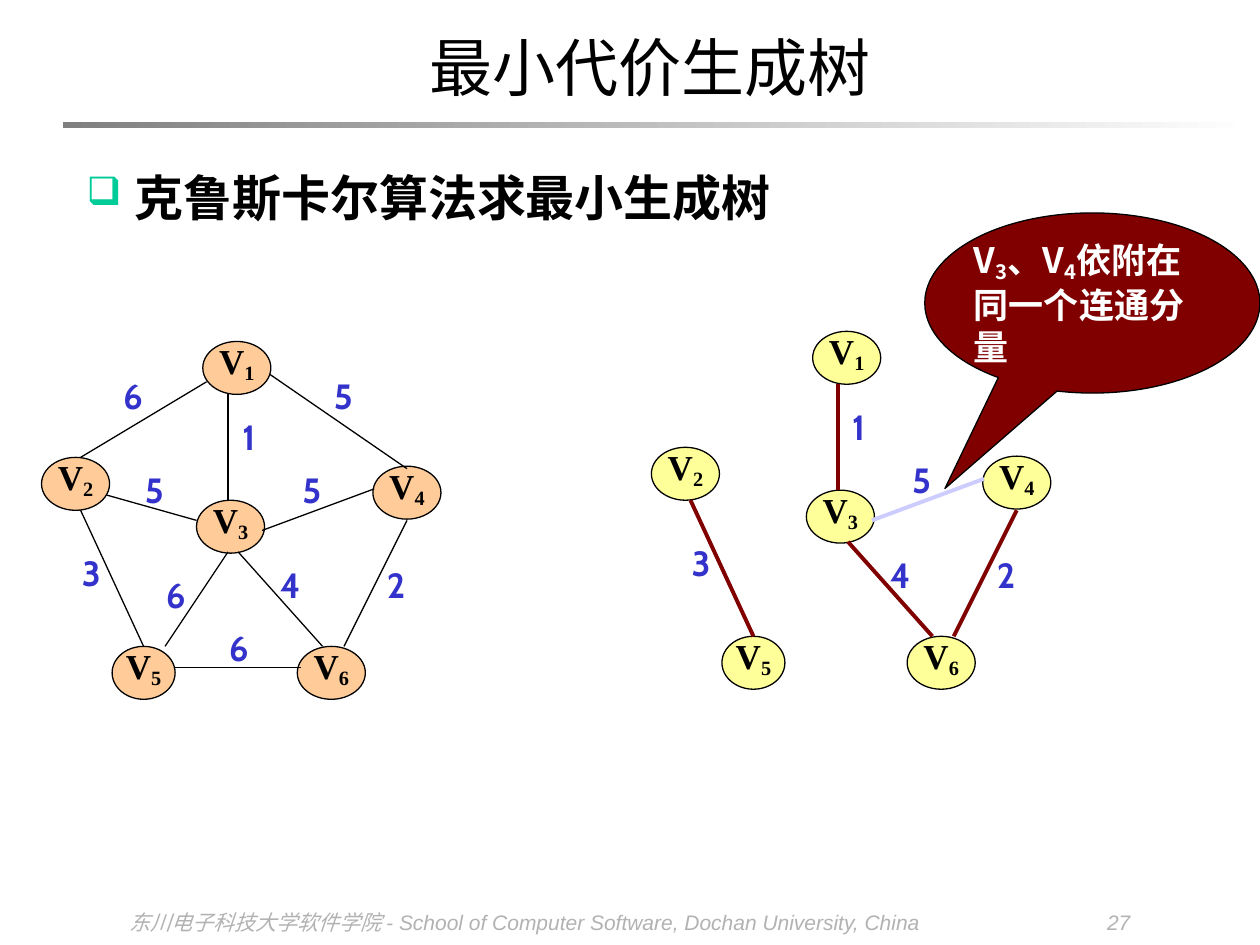
import pptx
import pptx.util
import pptx.dml.color
import pptx.enum.shapes
import pptx.enum.text
import pptx.oxml
import pptx.oxml.ns
from lxml import etree

Inches, Pt = pptx.util.Inches, pptx.util.Pt
RGB = pptx.dml.color.RGBColor
SHAPE = pptx.enum.shapes.MSO_SHAPE
ALIGN = pptx.enum.text.PP_ALIGN
ANCHOR = pptx.enum.text.MSO_ANCHOR
qn = pptx.oxml.ns.qn

BLACK, WHITE = RGB(0, 0, 0), RGB(255, 255, 255)
GREY, PALE = RGB(0x80, 0x80, 0x80), RGB(0xB2, 0xB2, 0xB2)
PEACH, YELLOW = RGB(0xFF, 0xCC, 0x99), RGB(0xFF, 0xFF, 0x99)
BLUE, LILAC = RGB(0x33, 0x33, 0xCC), RGB(0xCC, 0xCC, 0xFF)
MAROON = RGB(0x80, 0, 0)
HAN, SERIF = "Noto Sans CJK SC", "Times New Roman"

# Nodes: left, top, width within the graph
NODES = {
    "V_1": (1.28, 0, 0.54), "V_2": (0, 0.92, 0.54), "V_3": (1.23, 1.26, 0.54),
    "V_4": (2.63, 0.99, 0.54), "V_5": (0.56, 2.42, 0.5), "V_6": (2.03, 2.42, 0.54),
}
# Edges: weight, start, end, corner of the label within the graph
EDGES = {
    "12": ("6", (1.31, 0.32), (0.31, 0.92), (0.56, 0.26)),
    "14": ("5", (1.81, 0.26), (2.9, 1.01), (2.23, 0.26)),
    "25": ("3", (0.31, 1.34), (0.81, 2.42), (0.23, 1.67)),
    "23": ("5", (1.23, 1.42), (0.52, 1.22), (0.73, 1.01)),
    "34": ("5", (1.75, 1.5), (2.64, 1.17), (1.98, 1.01)),
    "46": ("2", (2.9, 1.42), (2.4, 2.42), (2.65, 1.76)),
    "56": ("6", (1.06, 2.59), (2.06, 2.59), (1.4, 2.26)),
    "13": ("1", (1.48, 0.42), (1.48, 1.26), (1.48, 0.59)),
    "35": ("6", (1.48, 1.67), (0.98, 2.42), (0.9, 1.84)),
    "36": ("4", (1.56, 1.67), (2.23, 2.42), (1.81, 1.76)),
}
TREE = ("25", "46", "13", "36")


def write(shape, text, size=20, font=SERIF, color=BLACK, bold=False,
          italic=False, align=ALIGN.LEFT, anchor=ANCHOR.TOP, inset=(0, 0), space=None):
    """Fill a shape with one paragraph; "_" lowers the next character."""
    frame = shape.text_frame
    frame.word_wrap = True
    frame.vertical_anchor = anchor
    frame.margin_left = frame.margin_right = Inches(inset[0])
    frame.margin_top = frame.margin_bottom = Inches(inset[1])
    para = frame.paragraphs[0]
    para.alignment = align
    if space:
        para.line_spacing = space
    head, *rest = text.split("_")
    parts = [(head, False)]
    for part in rest:
        parts += [(part[0], True), (part[1:], False)]
    for part, low in parts:
        if not part:
            continue
        run = para.add_run()
        run.text = part
        run.font.size, run.font.name = Pt(size), font
        run.font.bold, run.font.italic = bold, italic
        run.font.color.rgb = color
        props = run._r.get_or_add_rPr()
        etree.SubElement(props, qn("a:ea")).set("typeface", HAN)
        if low:
            props.set("baseline", "-16000")
    return para


def add_text(slide, box, text, **form):
    shape = slide.shapes.add_textbox(*map(Inches, box))
    return write(shape, text, **form)


def add_shape(slide, kind, box, fill):
    shape = slide.shapes.add_shape(kind, *map(Inches, box))
    shape.shadow.inherit = False
    shape.fill.solid()
    shape.fill.fore_color.rgb = fill
    shape.line.color.rgb = BLACK
    shape.line.width = Pt(0.75)
    return shape


def add_line(slide, start, end, color, width):
    line = slide.shapes.add_connector(
        pptx.enum.shapes.MSO_CONNECTOR.STRAIGHT, *map(Inches, (*start, *end)))
    line.line.color.rgb = color
    line.line.width = Pt(width)
    etree.SubElement(line._element.spPr, qn("a:effectLst"))


def add_head(slide, box):
    """Title with a fading rule below it."""
    title = slide.shapes.title
    title.left, title.top, title.width, title.height = map(Inches, box)
    write(title, "最小代价生成树", size=36, align=ALIGN.CENTER,
          anchor=ANCHOR.MIDDLE, inset=(0.1, 0.05))
    rule = add_shape(slide, SHAPE.RECTANGLE,
                     (box[0] - 0.4, box[1] + 0.82, 9.45, 0.05), GREY)
    rule.line.fill.background()
    rule.fill.gradient()
    rule.fill.gradient_angle = 0
    for stop, color in zip(rule.fill.gradient_stops, (GREY, WHITE)):
        stop.color.rgb = color


def add_point(slide, box):
    """Bulleted heading."""
    para = add_text(slide, box, "克鲁斯卡尔算法求最小生成树", size=28, font=HAN,
                    bold=True, inset=(0.1, 0.05), space=1.1)
    para.space_before = Pt(7)
    props = para._p.get_or_add_pPr()
    props.set("marL", str(Inches(0.38)))
    props.set("indent", str(-Inches(0.38)))
    tint = etree.SubElement(props, qn("a:buClr"))
    etree.SubElement(tint, qn("a:srgbClr")).set("val", "00CC99")
    etree.SubElement(props, qn("a:buSzPct")).set("val", "80000")
    etree.SubElement(props, qn("a:buChar")).set("char", "❑")


def add_graph(slide, left, top, fill, edges):
    """Nodes, then weighted edges given as {name: (color, width)}."""
    def place(spot):
        return left + spot[0], top + spot[1]

    for name, (x, y, width) in NODES.items():
        node = add_shape(slide, SHAPE.OVAL, (*place((x, y)), width, 0.42), fill)
        write(node, name, bold=True, align=ALIGN.CENTER, space=0.72)
    for name, (color, width) in edges.items():
        weight, start, end, spot = EDGES[name]
        add_line(slide, place(start), place(end), color, width)
        add_text(slide, (*place(spot), 0.33, 0.33), weight, font="Cabin",
                 color=BLUE, bold=True, align=ALIGN.CENTER)


def add_note(slide, box):
    """Speech bubble aimed at the rejected edge."""
    note = add_shape(slide, SHAPE.OVAL_CALLOUT, box, MAROON)
    note.adjustments[0], note.adjustments[1] = -0.44, 1.03
    write(note, "V_3、V_4依附在同一个连通分量", font=HAN, color=WHITE,
          bold=True, anchor=ANCHOR.MIDDLE)


def add_foot(slide, left, top):
    """School line and page number."""
    form = dict(size=12, font="Arial", color=PALE, italic=True, inset=(0.1, 0.05))
    add_text(slide, (left, top, 7, 0.33), "东川电子科技大学软件学院 "
             "- School of Computer Software, Dochan University, China", **form)
    add_text(slide, (left + 7.14, top, 1, 0.33), "27", align=ALIGN.RIGHT, **form)


def main():
    deck = pptx.Presentation()
    deck.slide_width, deck.slide_height = Inches(10), Inches(7.5)
    slide = deck.slides.add_slide(deck.slide_layouts[5])
    add_foot(slide, 0.93, 7.17)
    add_head(slide, (0.9, 0.15, 8.52, 0.76))
    add_point(slide, (0.59, 1.23, 7.83, 0.75))
    add_graph(slide, 0.33, 2.71, PEACH, {name: (BLACK, 0.75) for name in EDGES})
    tree = {name: (MAROON, 2.25) for name in TREE}
    add_graph(slide, 5.17, 2.63, YELLOW, {**tree, "34": (LILAC, 2.25)})
    add_note(slide, (7.34, 1.69, 2.66, 1.43))
    deck.save("out.pptx")


if __name__ == "__main__":
    main()
